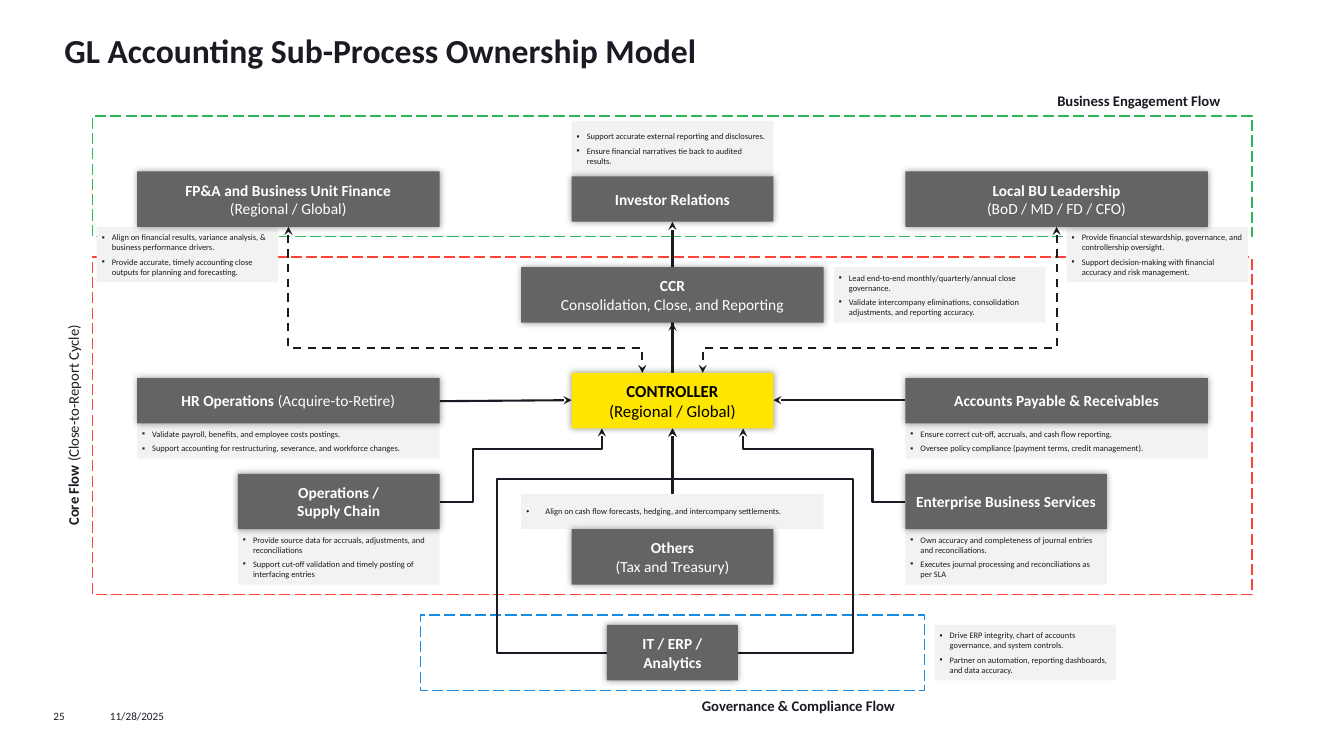
from dataclasses import dataclass
from typing import Optional

from lxml import etree
from pptx import Presentation
from pptx.dml.color import RGBColor
from pptx.enum.dml import MSO_LINE
from pptx.enum.shapes import MSO_CONNECTOR, MSO_SHAPE
from pptx.enum.text import MSO_ANCHOR, PP_ALIGN
from pptx.oxml.ns import qn
from pptx.util import Inches, Pt


@dataclass(frozen=True)
class Theme:
    font: str = "Calibri"
    ink: str = "1A1A24"
    white: str = "FFFFFF"
    black: str = "000000"
    box: str = "646464"
    accent: str = "FFE600"
    note: str = "F2F2F2"
    core: str = "FF4136"
    engagement: str = "2DB757"
    governance: str = "188CE5"
    title_pt: float = 24
    controller_pt: float = 12
    box_pt: float = 11
    label_pt: float = 10.5
    footer_pt: float = 8
    note_pt: float = 6
    line_pt: float = 1.5
    frame_pt: float = 1


@dataclass(frozen=True)
class Run:
    text: str
    bold: bool = False


Rect = tuple[float, float, float, float]
Point = tuple[float, float]
Lines = list[list[Run]]


@dataclass(frozen=True)
class Box:
    rect: Rect
    lines: Lines
    fill: str
    color: str
    size: float


@dataclass(frozen=True)
class Note:
    rect: Rect
    items: list[str]
    bullet: str = "▪"
    indent: float = 0.1


@dataclass(frozen=True)
class Label:
    rect: Rect
    runs: list[Run]
    size: float
    align: PP_ALIGN = PP_ALIGN.LEFT
    anchor: MSO_ANCHOR = MSO_ANCHOR.TOP
    insets: Rect = (0, 0, 0, 0)
    rotation: int = 0


@dataclass(frozen=True)
class Link:
    start: Point
    end: Point
    turns: int = 0  # quarter turns of the elbow
    adjust: tuple[float, ...] = ()
    two_way: bool = False


T = Theme()
LEFT, CENTER, RIGHT = 1.36, 6.67, 8.98
EVEN: Rect = (0.05, 0.05, 0.05, 0.05)
BOX_INSETS: Rect = (0.1, 0.05, 0.1, 0.05)

prs = Presentation()
prs.slide_width, prs.slide_height = Inches(13.33), Inches(7.5)
s = prs.slides.add_slide(prs.slide_layouts[6])


def add_element(parent, tag: str, **attrs: str):
    return etree.SubElement(parent, qn(tag), attrs)


def centered(top: float, width: float, height: float) -> Rect:
    return CENTER - width / 2, top, width, height


def bold(*texts: str) -> Lines:
    return [[Run(t, True)] for t in texts]


def two_tone(head: str, sub: str) -> Lines:
    return [[Run(head, True)], [Run(sub)]]


def grey(rect: Rect, lines: Lines) -> Box:
    return Box(rect, lines, T.box, T.white, T.box_pt)


def add_rect(rect: Rect, fill: Optional[str] = None):
    sp = s.shapes.add_shape(MSO_SHAPE.RECTANGLE, *map(Inches, rect))
    sp.shadow.inherit = False
    sp.line.fill.background()
    if fill:
        sp.fill.solid()
        sp.fill.fore_color.rgb = RGBColor.from_string(fill)
    else:
        sp.fill.background()
    return sp


def set_frame(tf, insets: Rect, anchor: MSO_ANCHOR) -> None:
    tf.word_wrap = True
    tf.vertical_anchor = anchor
    tf.margin_left, tf.margin_top, tf.margin_right, tf.margin_bottom = map(Inches, insets)


def add_runs(p, runs: list[Run], size: float, color: str) -> None:
    for run in runs:
        r = p.add_run()
        r.text = run.text
        r.font.name, r.font.size, r.font.bold = T.font, Pt(size), run.bold
        r.font.color.rgb = RGBColor.from_string(color)


def next_paragraph(tf, index: int):
    return tf.add_paragraph() if index else tf.paragraphs[0]


def draw_frame(rect: Rect, color: str) -> None:
    line = add_rect(rect).line
    line.color.rgb = RGBColor.from_string(color)
    line.width = Pt(T.frame_pt)
    line.dash_style = MSO_LINE.LONG_DASH


def draw_label(label: Label) -> None:
    sp = s.shapes.add_textbox(*map(Inches, label.rect))
    sp.rotation = label.rotation
    set_frame(sp.text_frame, label.insets, label.anchor)
    p = sp.text_frame.paragraphs[0]
    p.alignment = label.align
    add_runs(p, label.runs, label.size, T.ink)


def draw_box(box: Box) -> None:
    sp = add_rect(box.rect, box.fill)
    # Soft glow-like shadow on every side
    effects = sp._element.spPr.find(qn("a:effectLst"))
    shadow = add_element(effects, "a:outerShdw", blurRad=str(Pt(5)), dist="0", dir="0",
                         algn="ctr", rotWithShape="0")
    add_element(add_element(shadow, "a:srgbClr", val=T.black), "a:alpha", val="40000")
    set_frame(sp.text_frame, BOX_INSETS, MSO_ANCHOR.MIDDLE)
    for i, runs in enumerate(box.lines):
        p = next_paragraph(sp.text_frame, i)
        p.alignment = PP_ALIGN.CENTER
        add_runs(p, runs, box.size, box.color)


def draw_note(note: Note) -> None:
    tf = add_rect(note.rect, T.note).text_frame
    set_frame(tf, EVEN, MSO_ANCHOR.MIDDLE)
    for i, item in enumerate(note.items):
        p = next_paragraph(tf, i)
        p.alignment = PP_ALIGN.LEFT
        if i:
            p.space_before = Pt(3)
        pPr = p._p.get_or_add_pPr()
        pPr.set("marL", str(Inches(note.indent)))
        pPr.set("indent", str(-Inches(note.indent)))
        add_element(pPr, "a:buFont", typeface="Arial")
        add_element(pPr, "a:buChar", char=note.bullet)
        add_runs(p, [Run(item)], T.note_pt, T.ink)


def draw_link(link: Link) -> None:
    # Undo the quarter turns around the midpoint to get the unrotated ends
    mx, my = ((a + b) / 2 for a, b in zip(link.start, link.end))
    dx, dy = link.start[0] - mx, link.start[1] - my
    for _ in range(link.turns):
        dx, dy = dy, -dx
    kind = MSO_CONNECTOR.ELBOW if link.adjust else MSO_CONNECTOR.STRAIGHT
    c = s.shapes.add_connector(kind, *map(Inches, (mx + dx, my + dy, mx - dx, my - dy)))
    spPr = c._element.spPr
    if link.adjust:
        spPr.find(qn("a:xfrm")).set("rot", str(link.turns * 5400000))
        geom = spPr.find(qn("a:prstGeom"))
        geom.set("prst", f"bentConnector{len(link.adjust) + 2}")
        for i, value in enumerate(link.adjust, 1):
            add_element(geom.find(qn("a:avLst")), "a:gd", name=f"adj{i}",
                        fmla=f"val {round(value * 100000)}")
    c.line.color.rgb = RGBColor.from_string(T.ink)
    c.line.width = Pt(T.line_pt)
    ln = c.line._get_or_add_ln()
    if link.two_way:
        c.line.dash_style = MSO_LINE.DASH
        add_element(ln, "a:headEnd", type="stealth")
    add_element(ln, "a:tailEnd", type="stealth")
    add_element(spPr, "a:effectLst")


# Flow frames
FRAMES = [((0.92, 2.55, 11.5, 3.35), T.core), ((0.92, 1.15, 11.5, 1.2), T.engagement),
          (centered(6.1, 5, 0.75), T.governance)]

# Title, footer and flow names
MID = (T.label_pt, PP_ALIGN.CENTER, MSO_ANCHOR.MIDDLE, EVEN)
LABELS = [
    Label((0.54, 0.25, 12.25, 0.6), [Run("GL Accounting Sub-Process Ownership Model", True)],
          T.title_pt, insets=(0.1, 0.05, 0.1, 0)),
    Label((1.09, 7.04, 1.4, 0.13), [Run("11/28/2025")], T.footer_pt),
    Label((0.53, 7.04, 0.56, 0.13), [Run("25")], T.footer_pt),
    Label((-0.95, 4.02, 3.35, 0.4), [Run("Core Flow ", True), Run("(Close-to-Report Cycle)")],
          *MID, rotation=270),
    Label((10.17, 0.85, 2.25, 0.3), [Run("Business Engagement Flow", True)], *MID),
    Label((CENTER, 6.85, 2.5, 0.3), [Run("Governance & Compliance Flow", True)], *MID),
]

# Arrows between owners
LINKS = [
    Link((CENTER, 3.7), (CENTER, 2.2)),
    Link((CENTER, 5.25), (CENTER, 4.25)),
    Link((RIGHT, 3.97), (7.67, 3.97)),
    Link((4.36, 3.98), (5.67, 3.97)),
    Link((CENTER, 3.7), (CENTER, 3.2)),
    Link((2.86, 2.25), (6.37, 3.7), 3, (0.828,), True),
    Link((10.48, 2.25), (6.97, 3.7), 1, (0.828,), True),
    Link((4.36, 4.98), (5.97, 4.25), 0, (0.204, 0.719)),
    Link((RIGHT, 4.98), (7.37, 4.25), 2, (0.203, 0.719)),
    Link((6.02, 6.48), (CENTER, 4.25), 2, (-1.679, 0.774)),
    Link((7.32, 6.48), (CENTER, 4.25), 0, (-1.75, 0.774)),
]

# Responsibilities
NOTES = [
    Note(centered(1.2, 2, 0.55), ["Support accurate external reporting and disclosures.",
                                  "Ensure financial narratives tie back to audited results."]),
    Note((10.58, 2.25, 1.8, 0.55),
         ["Provide financial stewardship, governance, and controllership oversight.",
          "Support decision-making with financial accuracy and risk management."]),
    Note((0.96, 2.25, 1.8, 0.55),
         ["Align on financial results, variance analysis, & business performance drivers.",
          "Provide accurate, timely accounting close outputs for planning and forecasting."]),
    Note((LEFT, 4.2, 3, 0.35),
         ["Validate payroll, benefits, and employee costs postings.",
          "Support accounting for restructuring, severance, and workforce changes."]),
    Note((RIGHT, 4.2, 3, 0.35),
         ["Ensure correct cut-off, accruals, and cash flow reporting.",
          "Oversee policy compliance (payment terms, credit management)."]),
    Note((RIGHT, 5.25, 2, 0.55),
         ["Own accuracy and completeness of journal entries and reconciliations.",
          "Executes journal processing and reconciliations as per SLA"]),
    Note((LEFT + 1, 5.25, 2, 0.55),
         ["Provide source data for accruals, adjustments, and reconciliations",
          "Support cut-off validation and timely posting of interfacing entries"]),
    Note((9.27, 6.2, 1.8, 0.55),
         ["Drive ERP integrity, chart of accounts governance, and system controls.",
          "Partner on automation, reporting dashboards, and data accuracy."]),
    Note((8.27, 2.65, 2.1, 0.55),
         ["Lead end-to-end monthly/quarterly/annual close governance.",
          "Validate intercompany eliminations, consolidation adjustments, and reporting accuracy."]),
    Note(centered(4.9, 3, 0.35),
         ["Align on cash flow forecasts, hedging, and intercompany settlements."], "•", 0.19),
]

# Process owners
BOXES = [
    grey((RIGHT, 3.75, 3, 0.45), bold("Accounts Payable & Receivables")),
    grey((LEFT, 3.75, 3, 0.45), [[Run("HR Operations ", True), Run("(Acquire-to-Retire)")]]),
    grey(centered(5.25, 2, 0.55), two_tone("Others", "(Tax and Treasury)")),
    grey((RIGHT, 4.7, 2, 0.55), bold("Enterprise Business Services")),
    grey((LEFT + 1, 4.7, 2, 0.55), bold("Operations /", "Supply Chain")),
    grey(centered(1.75, 2, 0.45), bold("Investor Relations")),
    grey((LEFT, 1.7, 3, 0.55), two_tone("FP&A and Business Unit Finance", "(Regional / Global)")),
    grey((RIGHT, 1.7, 3, 0.55), two_tone("Local BU Leadership", "(BoD / MD / FD / CFO)")),
    Box(centered(3.7, 2, 0.55), two_tone("CONTROLLER", "(Regional / Global)"),
        T.accent, T.black, T.controller_pt),
    grey(centered(2.65, 3, 0.55), two_tone("CCR", "Consolidation, Close, and Reporting")),
    grey(centered(6.2, 1.3, 0.55), bold("IT / ERP / Analytics")),
]

for rect, color in FRAMES:
    draw_frame(rect, color)
for draw, parts in ((draw_label, LABELS), (draw_link, LINKS), (draw_note, NOTES), (draw_box, BOXES)):
    for part in parts:
        draw(part)

prs.save("out.pptx")
